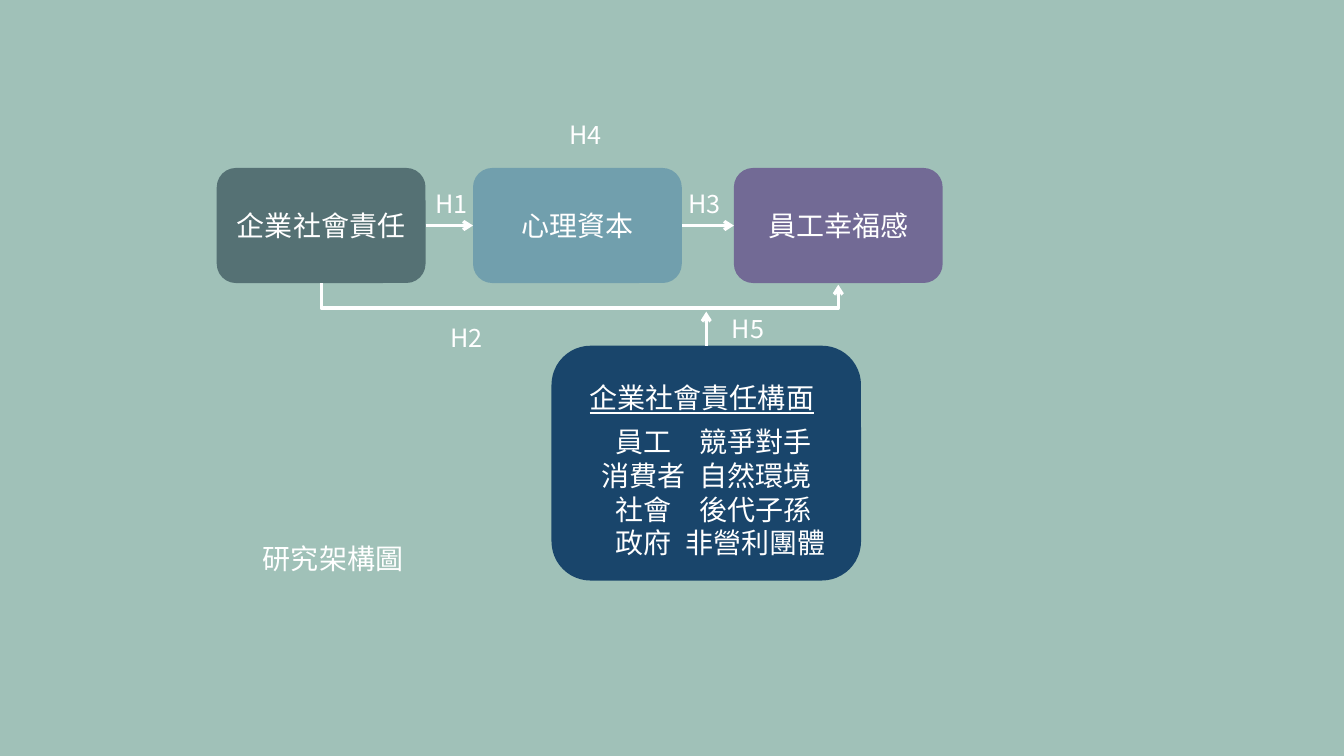
from pptx import Presentation
from pptx.dml.color import RGBColor
from pptx.enum.shapes import MSO_CONNECTOR, MSO_SHAPE
from pptx.enum.text import MSO_ANCHOR, PP_ALIGN
from pptx.oxml.ns import qn
from pptx.util import Inches, Pt
from lxml import etree

ROUNDED = MSO_SHAPE.ROUNDED_RECTANGLE
STRAIGHT, ELBOW = MSO_CONNECTOR.STRAIGHT, MSO_CONNECTOR.ELBOW
LEFT, CENTER = PP_ALIGN.LEFT, PP_ALIGN.CENTER
TOP, MIDDLE = MSO_ANCHOR.TOP, MSO_ANCHOR.MIDDLE

THEME = {
    "font": "Noto Sans CJK TC",
    "body": Pt(20),
    "label": Pt(18),
    "line": Pt(2.25),
    "white": RGBColor.from_string("FFFFFF"),
    "background": RGBColor.from_string("A0C1B8"),
    "duty": RGBColor.from_string("557174"),
    "capital": RGBColor.from_string("719FAD"),
    "wellbeing": RGBColor.from_string("726A95"),
    "facets": RGBColor.from_string("19456B"),
}

prs = Presentation()
prs.slide_width, prs.slide_height = Inches(13.33), Inches(7.5)
U = prs.slide_height / 90  # square grid: 90 rows, about 160 columns
s = prs.slides.add_slide(prs.slide_layouts[6])
s.background.fill.solid()
s.background.fill.fore_color.rgb = THEME["background"]


def add_text(text, x, y, w, h, fill=None, size="body", align=LEFT,
             anchor=TOP, underline=None, wrap=True):
    """Place text on the grid, in a rounded box when a fill is named."""
    frame = [round(v * U) for v in (x, y, w, h)]
    if fill:
        sp = s.shapes.add_shape(ROUNDED, *frame)
        sp.shadow.inherit = False
        sp.fill.solid()
        sp.fill.fore_color.rgb = THEME[fill]
        sp.line.fill.background()
    else:
        sp = s.shapes.add_textbox(*frame)
    tf = sp.text_frame
    tf.word_wrap, tf.vertical_anchor = wrap, anchor
    for i, line in enumerate(text.split("\n") if text else []):
        p = tf.add_paragraph() if i else tf.paragraphs[0]
        p.alignment = align
        r = p.add_run()
        r.text = line
        r.font.size, r.font.name = THEME[size], THEME["font"]
        r.font.color.rgb = THEME["white"]
        r.font.underline = underline
        ea = etree.SubElement(r.font._element, qn("a:ea"))
        ea.set("typeface", THEME["font"])


def add_arrow(kind, x1, y1, x2, y2):
    c = s.shapes.add_connector(kind, *[round(v * U) for v in (x1, y1, x2, y2)])
    c.line.width = THEME["line"]
    c.line.color.rgb = THEME["white"]
    etree.SubElement(c.line._get_or_add_ln(), qn("a:tailEnd")).set("type", "arrow")
    etree.SubElement(c._element.spPr, qn("a:effectLst"))
    return c


# Three variables in a row
BOX_W, BOX_H, BOX_Y = 24.85, 13.7, 20
DUTY_X, CAPITAL_X, WELLBEING_X = 25.8, 56.3, 87.35
for text, x, fill in (("企業社會責任", DUTY_X, "duty"),
                      ("心理資本", CAPITAL_X, "capital"),
                      ("員工幸福感", WELLBEING_X, "wellbeing")):
    add_text(text, x, BOX_Y, BOX_W, BOX_H, fill=fill, align=CENTER, anchor=MIDDLE)

# Panel of responsibility facets
PANEL_X, PANEL_Y, PANEL_W, PANEL_H = 65.64, 41.16, 36.84, 27.96
add_text("", PANEL_X, PANEL_Y, PANEL_W, PANEL_H, fill="facets")
add_text("企業社會責任構面", 69, 44.76, 30.12, 5.28, underline=True)
for text, x, w in (("員工\n消費者\n社會\n政府", 69.84, 13.44),
                   ("競爭對手\n自然環境\n後代子孫\n非營利團體", 80.28, 19.2)):
    add_text(text, x, 50, w, 17.4, align=CENTER)

# Arrows between neighbours, and from the panel up to the H2 path
mid_y = BOX_Y + BOX_H / 2
for x, target in ((DUTY_X, CAPITAL_X), (CAPITAL_X, WELLBEING_X)):
    add_arrow(STRAIGHT, x + BOX_W, mid_y, target, mid_y)
panel_mid = PANEL_X + PANEL_W / 2
add_arrow(STRAIGHT, panel_mid, PANEL_Y, panel_mid, 37.1)

# The H2 path drops below the row: an elbow turned a quarter, bent past its end
start_x, end_x = DUTY_X + BOX_W / 2, WELLBEING_X + BOX_W / 2
bottom, rise, drop = BOX_Y + BOX_H, 0.2, 3
span = end_x - start_x
mid_x, center_y = (start_x + end_x) / 2, bottom + rise / 2
c = add_arrow(ELBOW, mid_x + rise / 2, center_y - span / 2,
              mid_x - rise / 2, center_y + span / 2)
c._element.spPr.find(qn("a:xfrm")).set("rot", str(270 * 60000))
guides = c._element.spPr.find(qn("a:prstGeom")).get_or_add_avLst()
gd = etree.SubElement(guides, qn("a:gd"))
gd.set("name", "adj1")
gd.set("fmla", f"val {round(drop / rise * 100000)}")

# Hypothesis labels and caption
for text, x, y in (("H1", 50.64, 21.84), ("H3", 80.76, 21.84), ("H2", 52.44, 37.8),
                   ("H4", 66.6, 13.56), ("H5", 85.92, 36.72)):
    add_text(text, x, y, 6.72, 4.8, size="label")
add_text("研究架構圖", 30.12, 63.84, 19.2, 5.28, wrap=False)

prs.save("out.pptx")
